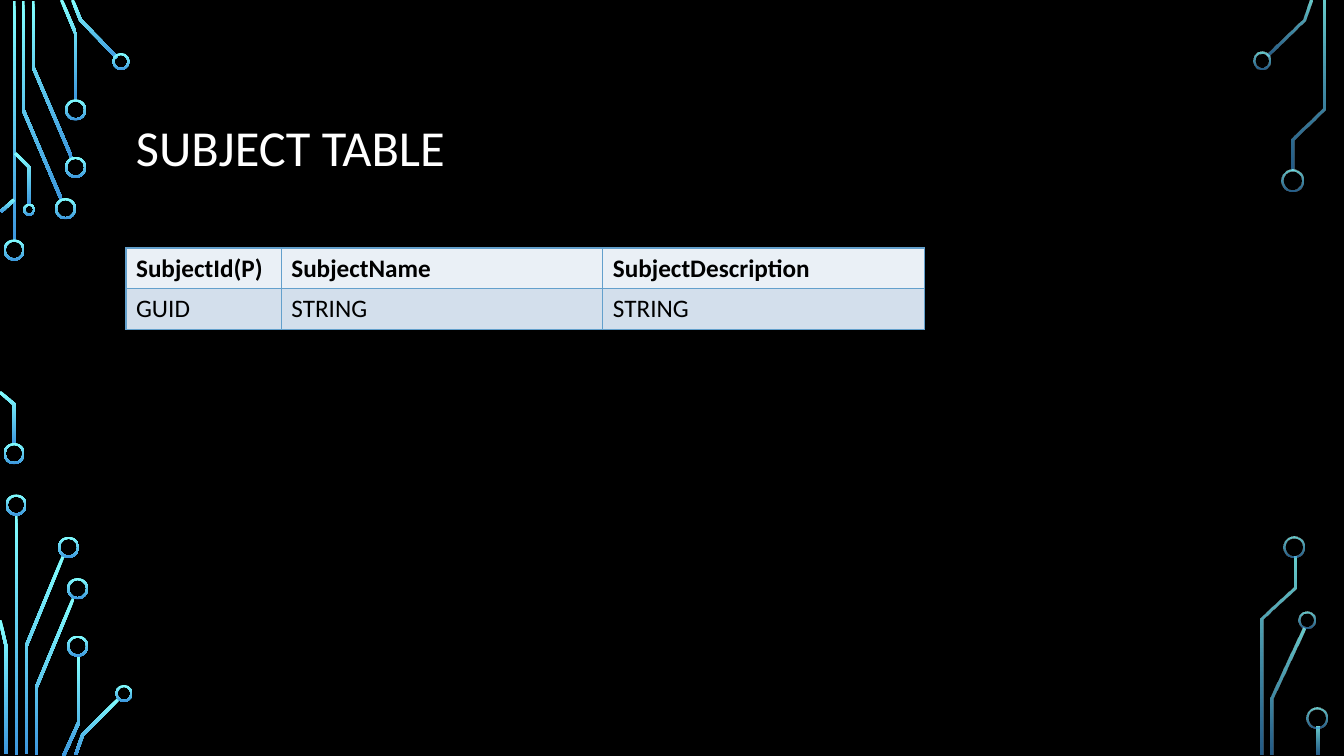
from math import hypot

from lxml import etree
from pptx import Presentation
from pptx.dml.color import RGBColor
from pptx.enum.shapes import MSO_SHAPE
from pptx.enum.text import MSO_ANCHOR
from pptx.oxml.ns import qn
from pptx.util import Inches, Pt

DONUT = MSO_SHAPE.DONUT
MIDDLE = MSO_ANCHOR.MIDDLE
FONT = "Calibri"
COLORS = {
    "background": "000000", "title": "FFFFFF", "cell_text": "000000",
    "header": "EAF0F6", "body": "D3DFEC", "border": "63A0CC",
    "glow_top": "82FFFF", "glow_bottom": "3D97DE",
}
WIRE_WIDTH = 0.03
RING_WIDTH = 0.02
LARGE, MEDIUM, SMALL = 0.21, 0.17, 0.12
SOLID, FADED = (100, 100), (80, 60)

CIRCUITS = [
    {"box": (0, 0), "opacity": SOLID,
     "wires": [
         [(0.14, 0.01), (0.14, 2.39)],
         [(0.23, 0.01), (0.23, 1.09), (0.61, 1.98)],
         [(0.33, 0.01), (0.33, 0.67), (0.71, 1.56)],
         [(0.61, 0), (0.75, 0.33), (0.75, 1)],
         [(0.72, 0), (0.8, 0.2), (1.16, 0.57)],
         [(0.01, 2.1), (0.14, 1.98)],
         [(0, 3.89), (0.14, 4.01), (0.14, 4.41)],
         [(0.15, 1.52), (0.29, 1.66), (0.29, 2.03)]],
     "rings": [(0.14, 2.48, LARGE), (0.14, 4.5, LARGE), (0.65, 2.07, LARGE),
               (0.75, 1.66, LARGE), (0.75, 1.09, LARGE), (1.2, 0.61, MEDIUM),
               (0.29, 2.08, SMALL)]},
    {"box": (0, 4.8), "opacity": SOLID,
     "wires": [
         [(0.16, 0.3), (0.16, 2.69)],
         [(0.26, 2.68), (0.26, 1.61), (0.63, 0.71)],
         [(0.06, 2.68), (0.06, 1.61), (0, 1.35)],
         [(0.36, 2.69), (0.36, 2.02), (0.73, 1.13)],
         [(0.63, 2.7), (0.78, 2.37), (0.78, 1.7)],
         [(0.75, 2.69), (0.82, 2.49), (1.18, 2.13)]],
     "rings": [(0.16, 0.21, LARGE), (0.68, 0.63, LARGE), (0.77, 1.04, LARGE),
               (0.77, 1.61, LARGE), (1.23, 2.08, MEDIUM)]},
    {"box": (12.4, 0), "opacity": FADED,
     "wires": [
         [(0.6, 0), (0.53, 0.2), (0.17, 0.55)],
         [(0.73, 0.01), (0.73, 1.08), (0.42, 1.38), (0.42, 1.69)]],
     "rings": [(0.12, 0.6, MEDIUM), (0.42, 1.79, LARGE)]},
    {"box": (12.4, 5.2), "opacity": FADED,
     "wires": [
         [(0.22, 2.29), (0.22, 1.73), (0.53, 1.03)],
         [(0.12, 2.29), (0.12, 0.94), (0.44, 0.63), (0.44, 0.32)],
         [(0.67, 2.01), (0.67, 2.29)]],
     "rings": [(0.43, 0.23, LARGE), (0.56, 0.95, MEDIUM), (0.66, 1.92, LARGE)]},
]


def rgb(name):
    return RGBColor.from_string(COLORS[name])


def style_glow(shape, opacity):
    shape.shadow.inherit = False
    shape.line.fill.background()
    shape.fill.gradient()
    shape.fill.gradient_angle = 270
    stops = shape.fill.gradient_stops
    for stop, position, name in zip(stops, (0, 1), ("glow_top", "glow_bottom")):
        stop.position = position
        stop.color.rgb = rgb(name)
    for color, percent in zip(shape._element.spPr.iter(qn("a:srgbClr")), opacity):
        if percent < 100:
            etree.SubElement(color, qn("a:alpha"), val=str(percent * 1000))


def wire_outline(points):
    normals = []
    for (x1, y1), (x2, y2) in zip(points, points[1:]):
        length = hypot(x2 - x1, y2 - y1)
        normals.append(((y1 - y2) / length, (x2 - x1) / length))
    one_side, other_side = [], []
    corners = zip(points, normals[:1] + normals, normals + normals[-1:])
    for (x, y), (ax, ay), (bx, by) in corners:
        reach = WIRE_WIDTH / 2 / (1 + ax * bx + ay * by)
        dx, dy = (ax + bx) * reach, (ay + by) * reach
        one_side.append((x + dx, y + dy))
        other_side.append((x - dx, y - dy))
    return one_side + other_side[::-1]


def add_circuit(slide, box, wires, rings, opacity):
    left, top = box
    for points in wires:
        outline = [(Inches(left + x), Inches(top + y))
                   for x, y in wire_outline(points)]
        builder = slide.shapes.build_freeform(*outline[0])
        builder.add_line_segments(outline[1:], close=True)
        style_glow(builder.convert_to_shape(), opacity)
    for x, y, size in rings:
        ring = slide.shapes.add_shape(
            DONUT, Inches(left + x - size / 2), Inches(top + y - size / 2),
            Inches(size), Inches(size))
        ring.adjustments[0] = RING_WIDTH / size
        style_glow(ring, opacity)


def add_title(slide, box, text):
    frame = slide.shapes.add_textbox(*map(Inches, box)).text_frame
    frame.word_wrap = True
    frame.vertical_anchor = MIDDLE
    paragraph = frame.paragraphs[0]
    paragraph.text = text
    paragraph.line_spacing = 0.9
    paragraph.font.name = FONT
    paragraph.font.size = Pt(36)
    paragraph.font.color.rgb = rgb("title")


def add_borders(cell):
    properties = cell._tc.get_or_add_tcPr()
    for index, side in enumerate(("lnL", "lnR", "lnT", "lnB")):
        line = etree.Element(qn("a:" + side), w=str(Pt(1)))
        fill = etree.SubElement(line, qn("a:solidFill"))
        etree.SubElement(fill, qn("a:srgbClr"), val=COLORS["border"])
        properties.insert(index, line)


def add_subject_table(slide, box, widths, rows):
    table = slide.shapes.add_table(
        len(rows), len(widths), *map(Inches, box)).table
    for column, width in zip(table.columns, widths):
        column.width = Inches(width)
    for row_index, row in enumerate(rows):
        for column_index, text in enumerate(row):
            cell = table.cell(row_index, column_index)
            cell.fill.solid()
            cell.fill.fore_color.rgb = rgb("body" if row_index else "header")
            add_borders(cell)
            paragraph = cell.text_frame.paragraphs[0]
            paragraph.text = text
            paragraph.font.name = FONT
            paragraph.font.size = Pt(18)
            paragraph.font.bold = row_index == 0
            paragraph.font.color.rgb = rgb("cell_text")


presentation = Presentation()
presentation.slide_width = Inches(13.33)
presentation.slide_height = Inches(7.5)
slide = presentation.slides.add_slide(presentation.slide_layouts[6])
slide.background.fill.solid()
slide.background.fill.fore_color.rgb = rgb("background")
for circuit in CIRCUITS:
    add_circuit(slide, **circuit)
add_title(slide, (1.25, 0.68, 10.83, 1.62), "SUBJECT TABLE")
add_subject_table(slide, (1.25, 2.46, 7.93, 0.81), (1.54, 3.19, 3.19), [
    ("SubjectId(P)", "SubjectName", "SubjectDescription"),
    ("GUID", "STRING", "STRING"),
])
presentation.save("out.pptx")
